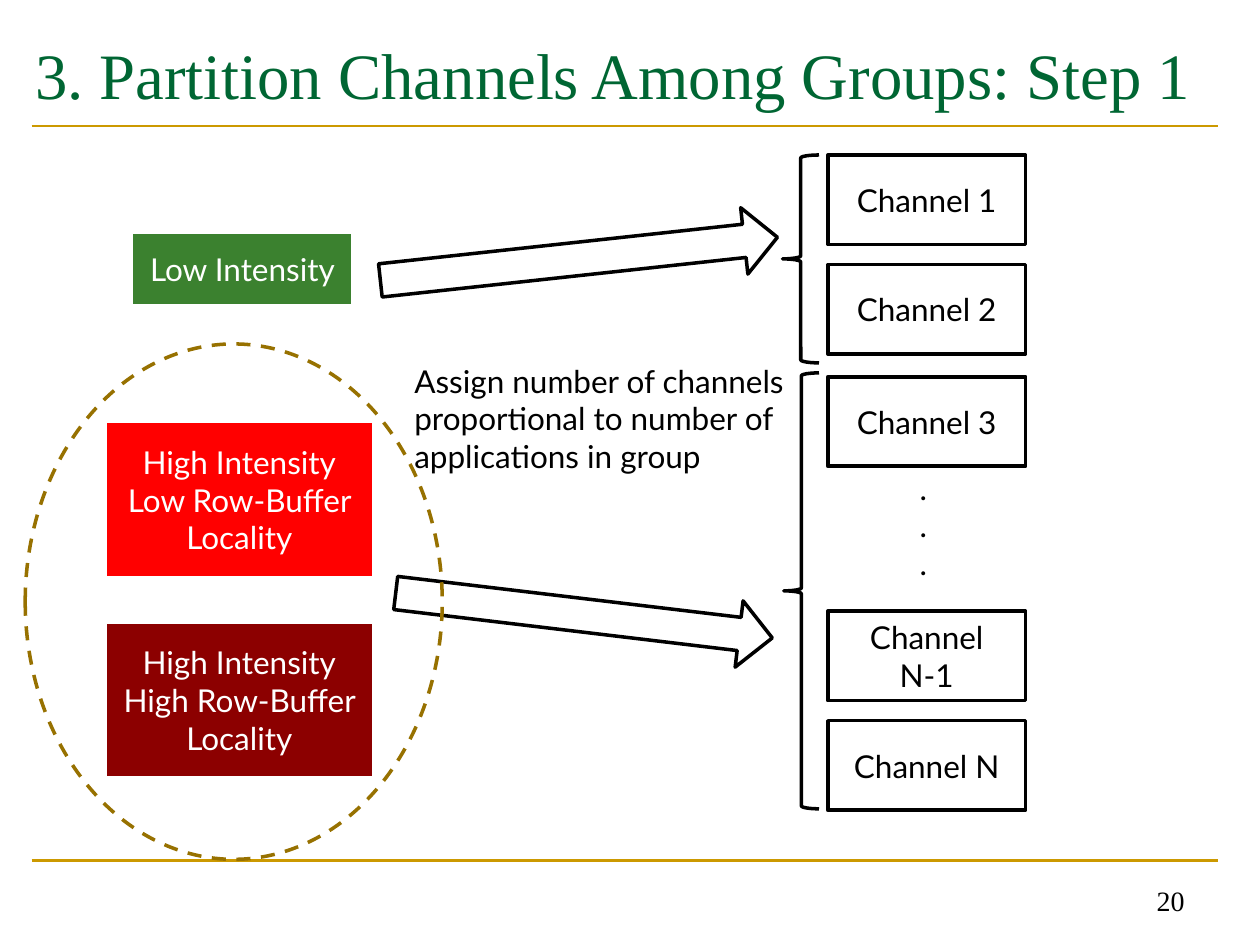
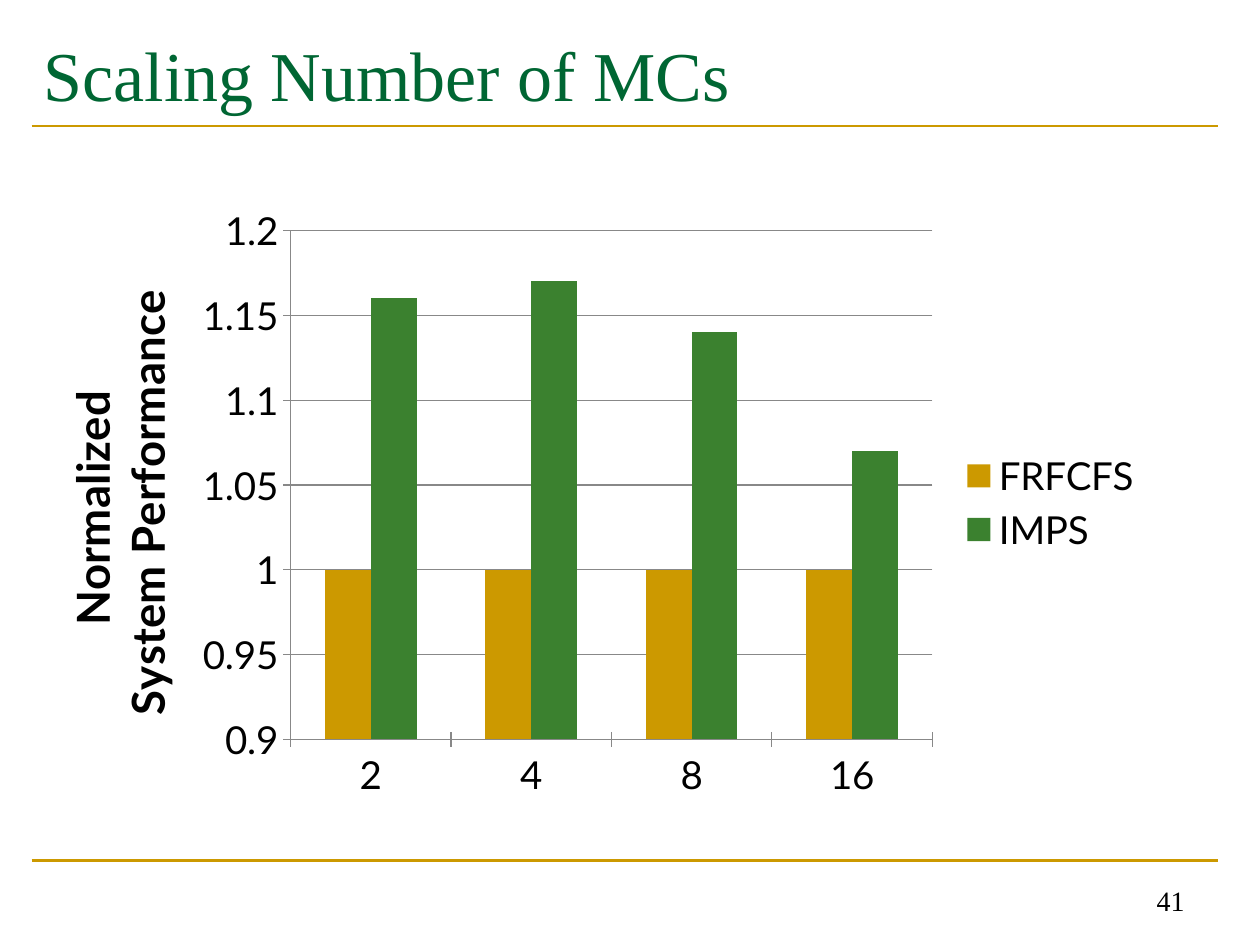
import pptx
import pptx.util
import pptx.dml.color
import pptx.chart.data
import pptx.enum.chart
import pptx.enum.dml
import pptx.enum.shapes
import pptx.enum.text
import lxml.etree

PX = 9144
KIND = pptx.enum.shapes.MSO_SHAPE
ALIGN = pptx.enum.text.PP_ALIGN
ANCHOR = pptx.enum.text.MSO_ANCHOR
GOLD, GREEN, PINE = "CC9900", "3B812F", "006633"
BLACK, WHITE, GRAY = "000000", "FFFFFF", "888888"
RED, DARK, BROWN = "FF0000", "8C0000", "977100"
BODY, SERIF = "Lato", "Times New Roman"


def color(code):
    return pptx.dml.color.RGBColor.from_string(code)


def emu(*px):
    return [pptx.util.Emu(n * PX) for n in px]


class Deck:
    """Hold the shared style and the slide being drawn."""

    def __init__(self):
        self.file = pptx.Presentation()
        self.file.slide_width, self.file.slide_height = emu(1000, 750)
        self.slide = None

    def page(self, title, left, size, number):
        self.slide = self.file.slides.add_slide(self.file.slide_layouts[6])
        for y in (683, 100):
            self.rule(25, y, 967, y)
        self.text((left, 17, 985 - left, 83), title, size, PINE, SERIF, ANCHOR.MIDDLE)
        self.text((717, 683, 233, 50), number, 16, BLACK, SERIF, ANCHOR.BOTTOM, ALIGN.RIGHT)

    def font(self, font, size, code=BLACK, name=BODY, bold=False):
        font.size, font.name, font.bold = pptx.util.Pt(size), name, bold
        font.color.rgb = color(code)

    def label(self, frame, words, size, code, name, anchor, align):
        frame.word_wrap = True
        frame.vertical_anchor = anchor
        frame.text = words
        for para in frame.paragraphs:
            para.alignment = align
            for run in para.runs:
                self.font(run.font, size, code, name)

    def rule(self, *ends):
        line = self.slide.shapes.add_connector(
            pptx.enum.shapes.MSO_CONNECTOR.STRAIGHT, *emu(*ends))
        line.line.color.rgb = color(GOLD)
        line.line.width = pptx.util.Pt(1.5)
        lxml.etree.SubElement(line._element.spPr, pptx.oxml.ns.qn("a:effectLst"))

    def text(self, box, words, size=18, code=BLACK, name=BODY,
             anchor=ANCHOR.TOP, align=ALIGN.LEFT):
        item = self.slide.shapes.add_textbox(*emu(*box))
        self.label(item.text_frame, words, size, code, name, anchor, align)

    def shape(self, kind, box, fill=None, line=BLACK, turn=0):
        item = self.slide.shapes.add_shape(kind, *emu(*box))
        item.shadow.inherit = False
        item.rotation = turn
        if fill:
            item.fill.solid()
            item.fill.fore_color.rgb = color(fill)
        else:
            item.fill.background()
        if line:
            item.line.color.rgb = color(line)
            item.line.width = pptx.util.Pt(2)
        else:
            item.line.fill.background()
        return item

    def block(self, box, words, fill=None):
        item = self.shape(KIND.FLOWCHART_PROCESS, box, fill, None if fill else BLACK)
        frame = item.text_frame
        frame.margin_left, frame.margin_right = emu(11, 11)
        self.label(frame, words, 18, WHITE if fill else BLACK, BODY,
                   ANCHOR.MIDDLE, ALIGN.CENTER)

    def columns(self, box, cats, series, title):
        data = pptx.chart.data.CategoryChartData()
        data.categories = cats
        for name, vals, _ in series:
            data.add_series(name, vals)
        chart = self.slide.shapes.add_chart(
            pptx.enum.chart.XL_CHART_TYPE.COLUMN_CLUSTERED, *emu(*box), data).chart
        self.font(chart.font, 10)
        chart.has_title = False
        chart.has_legend = True
        chart.legend.position = pptx.enum.chart.XL_LEGEND_POSITION.RIGHT
        chart.legend.include_in_layout = False
        self.font(chart.legend.font, 22)
        plot = chart.plots[0]
        plot.vary_by_categories = False
        plot.gap_width, plot.overlap = 150, 0
        for item, (_, _, code) in zip(plot.series, series):
            item.format.fill.solid()
            item.format.fill.fore_color.rgb = color(code)
        for axis in (chart.category_axis, chart.value_axis):
            axis.major_tick_mark = pptx.enum.chart.XL_TICK_MARK.CROSS
            self.font(axis.tick_labels.font, 22)
            axis.format.line.color.rgb = color(GRAY)
        axis = chart.value_axis
        axis.minimum_scale, axis.maximum_scale, axis.major_unit = 0.9, 1.2, 0.05
        axis.has_major_gridlines = True
        axis.major_gridlines.format.line.color.rgb = color(GRAY)
        frame = axis.axis_title.text_frame
        frame.text = title
        for para in frame.paragraphs:
            for run in para.runs:
                self.font(run.font, 26, bold=True)


def groups(deck):
    deck.page("3. Partition Channels Among Groups: Step 1", 18, 37, "20")
    for box, turn in (((301, 179, 317, 53), -6.2), ((313, 462, 301, 53), 6.8)):
        deck.shape(KIND.RIGHT_ARROW, box, turn=turn)
    for box in ((621, 123, 29, 165), (622, 296, 28, 346)):
        deck.shape(KIND.LEFT_BRACE, box)
    deck.text((319, 282, 323, 101),
              "Assign number of channels proportional to number of applications in group")
    deck.text((720, 367, 24, 101), ".\n.\n.")
    deck.block((106, 186, 173, 55), "Low Intensity", GREEN)
    for y, level, fill in ((336, "Low", RED), (495, "High", DARK)):
        deck.block((85, y, 210, 121), f"High Intensity\n{level} Row-Buffer Locality", fill)
    oval = deck.shape(KIND.OVAL, (20, 273, 331, 409), line=BROWN)
    oval.line.dash_style = pptx.enum.dml.MSO_LINE.DASH
    for y, mark in ((123, "1"), (210, "2"), (299, "3"), (485, "N-1"), (572, "N")):
        deck.block((657, y, 157, 71), f"Channel {mark}")


def scaling(deck):
    deck.page("Scaling Number of MCs", 25, 40, "41")
    deck.columns((28, 155, 890, 488), ("2", "4", "8", "16"),
                 (("FRFCFS", (1, 1, 1, 1), GOLD),
                  ("IMPS", (1.16, 1.17, 1.14, 1.07), GREEN)),
                 "Normalized \nSystem Performance")


def main():
    deck = Deck()
    groups(deck)
    scaling(deck)
    deck.file.save("out.pptx")


if __name__ == "__main__":
    main()
